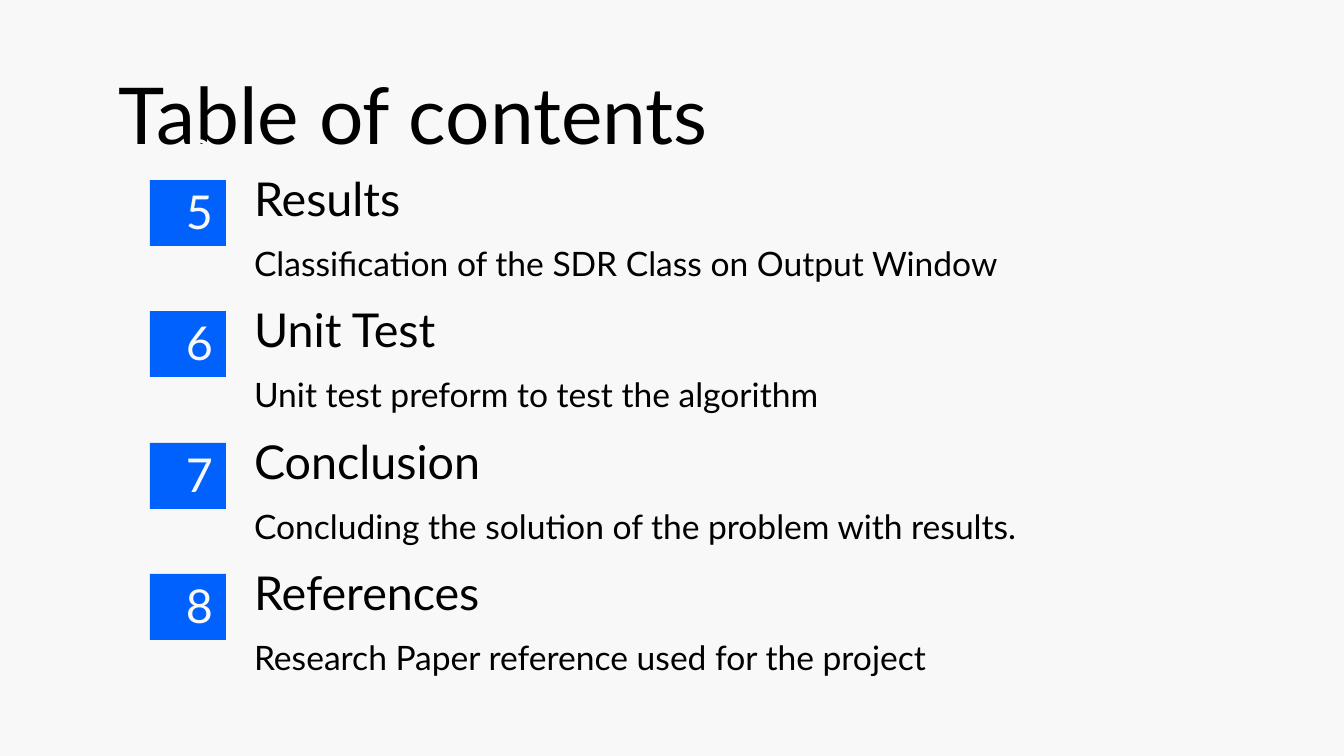
from pptx import Presentation
from pptx.dml.color import RGBColor
from pptx.enum.shapes import MSO_SHAPE as Shape
from pptx.enum.text import MSO_ANCHOR as Anchor, PP_ALIGN as Align
from pptx.util import Emu, Pt

PX_PER_INCH = 134.4
COLORS = {"paper": "F8F8F8", "ink": "000000", "accent": "0061FC"}
FONT = "Lato"

ROW_TOP, ROW_PITCH = 180, 131.3
SECTIONS = [
    ("05", "Results", "Classification of the SDR Class on Output Window"),
    ("06", "Unit Test", "Unit test preform to test the algorithm"),
    ("07", "Conclusion", "Concluding the solution of the problem with results."),
    ("08", "References", "Research Paper reference used for the project"),
]


def px(length):
    return Emu(round(length * 914400 / PX_PER_INCH))


def color(name):
    return RGBColor.from_string(COLORS[name])


def write(shape, text, size, ink="ink", align=Align.LEFT, anchor=Anchor.TOP,
          top=13, bottom=13, spacing=1.0):
    frame = shape.text_frame
    frame.word_wrap = True
    frame.vertical_anchor = anchor
    frame.margin_left = frame.margin_right = px(13)
    frame.margin_top, frame.margin_bottom = px(top), px(bottom)
    line = frame.paragraphs[0]
    line.alignment, line.line_spacing = align, spacing
    run = line.add_run()
    run.text = text
    run.font.name, run.font.size = FONT, Pt(size)
    run.font.color.rgb = color(ink)


class ContentsSlide:
    def __init__(self, deck):
        self.slide = deck.slides.add_slide(deck.slide_layouts[6])
        background = self.slide.background.fill
        background.solid()
        background.fore_color.rgb = color("paper")

    def text(self, box, text, **style):
        write(self.slide.shapes.add_textbox(*map(px, box)), text, **style)

    def badge(self, box, number):
        badge = self.slide.shapes.add_shape(Shape.RECTANGLE, *map(px, box))
        badge.shadow.inherit = False
        badge.fill.solid()
        badge.fill.fore_color.rgb = color("accent")
        badge.line.fill.background()
        write(badge, number, size=25, ink="paper", align=Align.RIGHT,
              anchor=Anchor.BOTTOM, bottom=7)


def main():
    deck = Presentation()
    deck.slide_width, deck.slide_height = px(1344), px(756)
    contents = ContentsSlide(deck)

    # Title
    contents.text((106, 66, 1133, 85), "Table of contents", size=42, top=0)

    # Numbered sections
    for index, (number, heading, summary) in enumerate(SECTIONS):
        top = ROW_TOP + round(index * ROW_PITCH)
        contents.badge((150, top, 76, 66), number)
        contents.text((241, top - 20, 953, 66), heading, size=25,
                      anchor=Anchor.BOTTOM, bottom=0)
        contents.text((241, top + 44, 953, 55), summary, size=18, spacing=1.15)

    deck.save("out.pptx")


if __name__ == "__main__":
    main()
